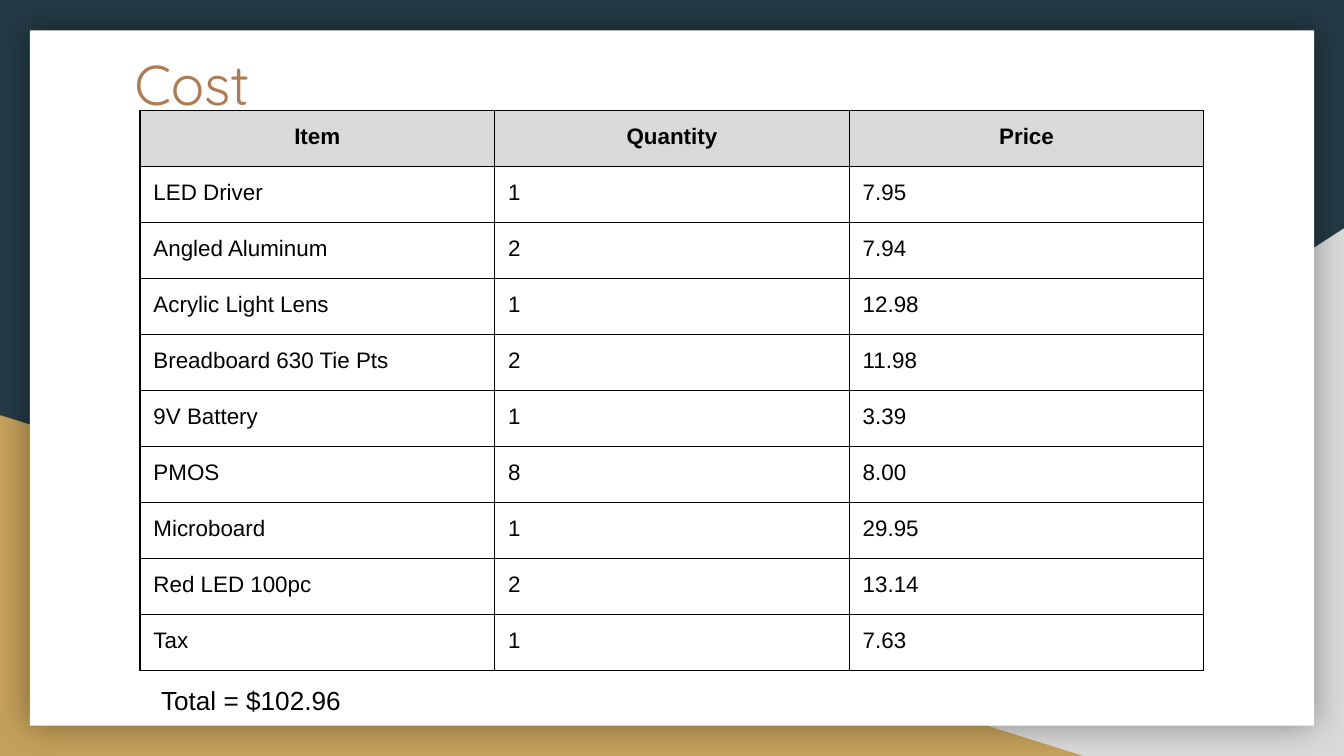
import dataclasses

import lxml.etree
import pptx
import pptx.dml.color
import pptx.enum.shapes
import pptx.enum.text
import pptx.oxml
import pptx.oxml.ns
import pptx.util

Pt = pptx.util.Pt
ALIGN = pptx.enum.text.PP_ALIGN
SHAPE = pptx.enum.shapes.MSO_SHAPE


@dataclasses.dataclass(frozen=True)
class Theme:
    navy: str = "233A44"
    grey: str = "D9D9D9"
    gold: str = "C4A15A"
    white: str = "FFFFFF"
    copper: str = "AF7B51"
    black: str = "000000"
    title_font: str = "Quicksand"
    body_font: str = "Arial"
    title_size: float = 30
    cell_size: float = 12
    total_size: float = 14
    inset: float = 7.2
    border: float = 0.75


theme = Theme()


def color(value):
    return pptx.dml.color.RGBColor.from_string(value)


def write(frame, text, font=theme.body_font, size=theme.cell_size,
          ink=theme.black, bold=False, align=ALIGN.LEFT):
    frame.word_wrap = True
    para = frame.paragraphs[0]
    para.alignment = align
    span = para.add_run()
    span.text = text
    span.font.name = font
    span.font.size = Pt(size)
    span.font.bold = bold
    span.font.color.rgb = color(ink)


deck = pptx.Presentation()
deck.slide_width, deck.slide_height = Pt(720), Pt(405)
page = deck.slides.add_slide(deck.slide_layouts[5])
page.background.fill.solid()
page.background.fill.fore_color.rgb = color(theme.navy)

# Backdrop: two corner triangles under a white card
backdrop = [
    (SHAPE.RIGHT_TRIANGLE, 282, 122.4, 438, 282.6, theme.grey, True),
    (SHAPE.RIGHT_TRIANGLE, 0, 222.4, 580.3, 182.6, theme.gold, False),
    (SHAPE.RECTANGLE, 16, 16.2, 688, 372.5, theme.white, False),
]
for kind, left, top, width, height, fill, flipped in backdrop:
    card = page.shapes.add_shape(kind, Pt(left), Pt(top), Pt(width), Pt(height))
    card.shadow.inherit = False
    card.fill.solid()
    card.fill.fore_color.rgb = color(fill)
    card.line.fill.background()
    if flipped:
        card._element.spPr.xfrm.set("flipH", "1")

# Soft shadow around the card, the last backdrop shape
effects = card._element.spPr.find(pptx.oxml.ns.qn("a:effectLst"))
effects.append(pptx.oxml.parse_xml(
    f'<a:outerShdw {pptx.oxml.ns.nsdecls("a")} blurRad="{Pt(18)}" dist="0" dir="0" '
    f'algn="ctr" rotWithShape="0"><a:srgbClr val="{theme.black}">'
    '<a:alpha val="40000"/></a:srgbClr></a:outerShdw>'))

# Title, raised above the backdrop
title = page.shapes.title
title._element.getparent().append(title._element)
title.left, title.top, title.width, title.height = Pt(64.8), Pt(19.4), Pt(591), Pt(75)

# Total below the table
total = page.shapes.add_textbox(Pt(79.2), Pt(359.3), Pt(529), Pt(62))

for box in (title, total):
    frame = box.text_frame
    frame.auto_size = pptx.enum.text.MSO_AUTO_SIZE.NONE
    frame.vertical_anchor = pptx.enum.text.MSO_ANCHOR.TOP
    frame.margin_left = frame.margin_right = Pt(theme.inset)
    frame.margin_top = frame.margin_bottom = Pt(theme.inset)
write(title.text_frame, "Cost", font=theme.title_font, size=theme.title_size,
      ink=theme.copper)
write(total.text_frame, "Total = $102.96", size=theme.total_size)

# Cost table
costs = [
    ("Item", "Quantity", "Price"),
    ("LED Driver", "1", "7.95"),
    ("Angled Aluminum", "2", "7.94"),
    ("Acrylic Light Lens", "1", "12.98"),
    ("Breadboard 630 Tie Pts", "2", "11.98"),
    ("9V Battery", "1", "3.39"),
    ("PMOS", "8", "8.00"),
    ("Microboard", "1", "29.95"),
    ("Red LED 100pc", "2", "13.14"),
    ("Tax", "1", "7.63"),
]
table = page.shapes.add_table(len(costs), 3, Pt(75), Pt(59.2), Pt(570), Pt(300)).table
table.first_row = table.horz_banding = False
for row, values in enumerate(costs):
    header = row == 0
    for column, value in enumerate(values):
        cell = table.cell(row, column)
        cell.margin_left = cell.margin_right = Pt(theme.inset)
        cell.margin_top = cell.margin_bottom = Pt(theme.inset)
        write(cell.text_frame, value, bold=header,
              align=ALIGN.CENTER if header else ALIGN.LEFT)

        # Borders come before the fill in the cell properties
        properties = cell._tc.get_or_add_tcPr()
        for side in ("lnL", "lnR", "lnT", "lnB"):
            line = lxml.etree.SubElement(properties, pptx.oxml.ns.qn(f"a:{side}"),
                                         w=str(Pt(theme.border)))
            paint = lxml.etree.SubElement(line, pptx.oxml.ns.qn("a:solidFill"))
            lxml.etree.SubElement(paint, pptx.oxml.ns.qn("a:srgbClr"), val=theme.black)
        if header:
            cell.fill.solid()
            cell.fill.fore_color.rgb = color(theme.grey)
        else:
            cell.fill.background()

deck.save("out.pptx")
